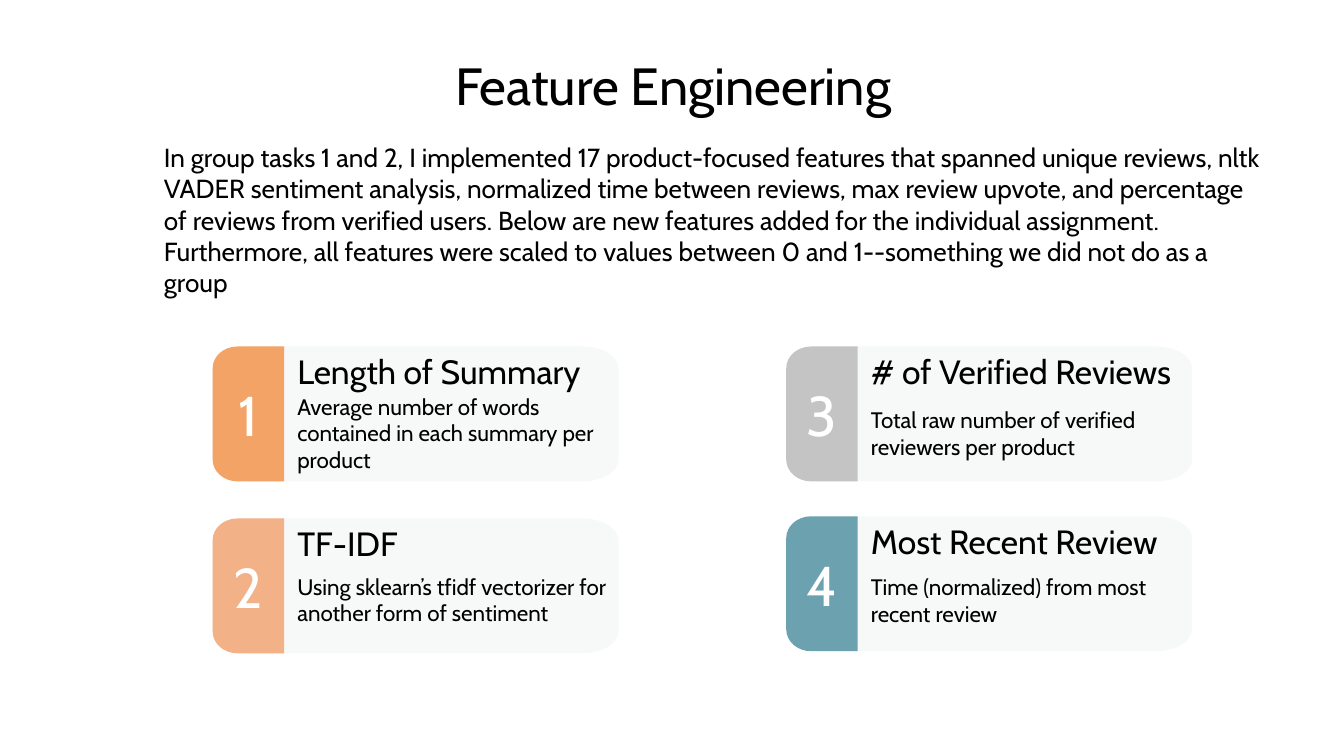
from lxml import etree
from pptx import Presentation
from pptx import util as u
from pptx.dml.color import RGBColor
from pptx.enum import text
from pptx.oxml.ns import qn

FONT = "Cabin"
BLACK, WHITE, PANEL = "000000", "FFFFFF", "F7F9F9"
CARD_WIDTH, CARD_HEIGHT, TAB_WIDTH = 7.67, 2.55, 1.35
CORNER_HEIGHT = 0.41
CURVE = 0.55  # share of a radius that gives a quarter ellipse
LEFT_COLUMN, RIGHT_COLUMN = 4.02, 14.86

INTRO = [
    "In group tasks 1 and 2, I implemented 17 product-focused features that spanned "
    "unique reviews, nltk VADER sentiment analysis, normalized time between reviews, "
    "max review upvote, and percentage of reviews from verified users. Below are new "
    "features added for the individual assignment.",
    "Furthermore, all features were scaled to values between 0 and 1--something we did "
    "not do as a group",
]

# left, top, tab colour, heading, description, its offset from the top and its width
CARDS = [
    (LEFT_COLUMN, 6.55, "F2A365", "Length of Summary",
     "Average number of words contained in each summary per product", 0.85, 6.68),
    (LEFT_COLUMN, 9.8, "F2B186", "TF-IDF",
     "Using sklearn’s tfidf vectorizer for another form of sentiment", 0.75, 6.48),
    (RIGHT_COLUMN, 6.55, "C4C4C4", "# of Verified Reviews",
     "Total raw number of verified reviewers per product", 0.85, 6.32),
    (RIGHT_COLUMN, 9.76, "6CA1B0", "Most Recent Review",
     "Time (normalized) from most recent review", 0.8, 6.32),
]


def colour(value):
    return RGBColor.from_string(value)


def write(shape, lines, size, ink=BLACK, align=text.PP_ALIGN.LEFT):
    frame = shape.text_frame
    frame.word_wrap = True
    frame.vertical_anchor = text.MSO_ANCHOR.MIDDLE
    frame.margin_left = frame.margin_right = u.Cm(0.25)
    frame.margin_top = frame.margin_bottom = u.Cm(0.25)
    frame.text = "\n".join(lines)
    for para in frame.paragraphs:
        para.alignment = align
        for span in para.runs:
            span.font.name = FONT
            span.font.size = u.Pt(size)
            span.font.color.rgb = colour(ink)


def add_text(page, left, top, width, height, lines, size, **style):
    box = page.shapes.add_textbox(u.Cm(left), u.Cm(top), u.Cm(width), u.Cm(height))
    write(box, lines, size, **style)


def corner(x, y, start, end):
    """Start, two handles and end of a curve round the box corner (x, y)."""
    handles = [(px + (x - px) * CURVE, py + (y - py) * CURVE) for px, py in (start, end)]
    return [start, *handles, end]


def curve_corners(shape, count):
    """Turn the first three of every four line segments into one curve."""
    segments = list(shape.element.iter(qn("a:lnTo")))
    for index in range(count):
        first, *others = segments[4 * index:4 * index + 3]
        first.tag = qn("a:cubicBezTo")
        for segment in others:
            first.append(segment[0])
            segment.getparent().remove(segment)


def add_rounded(page, left, top, width, height, radius, fill, round_right):
    """Box with elliptical corners on the left and, if asked, on the right."""
    right, bottom = left + width, top + height
    high, low = top + CORNER_HEIGHT, bottom - CORNER_HEIGHT
    near, far = left + radius, right - radius
    points = corner(left, top, (near, top), (left, high))
    points += corner(left, bottom, (left, low), (near, bottom))
    if round_right:
        points += corner(right, bottom, (far, bottom), (right, low))
        points += corner(right, top, (right, high), (far, top))
    else:
        points += [(right, bottom), (right, top)]
    outline = [(u.Cm(x), u.Cm(y)) for x, y in points]
    builder = page.shapes.build_freeform(*outline[0])
    builder.add_line_segments(outline[1:], close=True)
    shape = builder.convert_to_shape()
    curve_corners(shape, 4 if round_right else 2)
    shape.shadow.inherit = False
    shape.fill.solid()
    shape.fill.fore_color.rgb = colour(fill)
    shape.line.fill.background()
    return shape


def add_card(page, left, top, number, fill, heading, description, offset, width):
    add_rounded(page, left, top, CARD_WIDTH, CARD_HEIGHT, 0.69, PANEL, True)
    tab = add_rounded(page, left, top, TAB_WIDTH, CARD_HEIGHT, 0.47, fill, False)
    write(tab, [str(number)], 30, ink=WHITE, align=text.PP_ALIGN.CENTER)
    text_left = left + TAB_WIDTH
    add_text(page, text_left, top, 6.68, 0.94, [heading], 18)
    add_text(page, text_left, top + offset, width, 1.57, [description], 12)


def add_introduction(page, left, top):
    add_text(page, left, top, 21.46, 1.35, ["Feature Engineering"], 28,
             align=text.PP_ALIGN.CENTER)
    add_text(page, left + 0.86, top + 1.04, 21.28, 4.37, INTRO, 14)


def main():
    deck = Presentation()
    deck.slide_width, deck.slide_height = u.Cm(25.4), u.Cm(14.29)
    page = deck.slides.add_slide(deck.slide_layouts[6])
    add_introduction(page, 1.99, 0.93)
    for number, (left, top, *content) in enumerate(CARDS, start=1):
        add_card(page, left, top, number, *content)
    deck.save("out.pptx")


if __name__ == "__main__":
    main()
